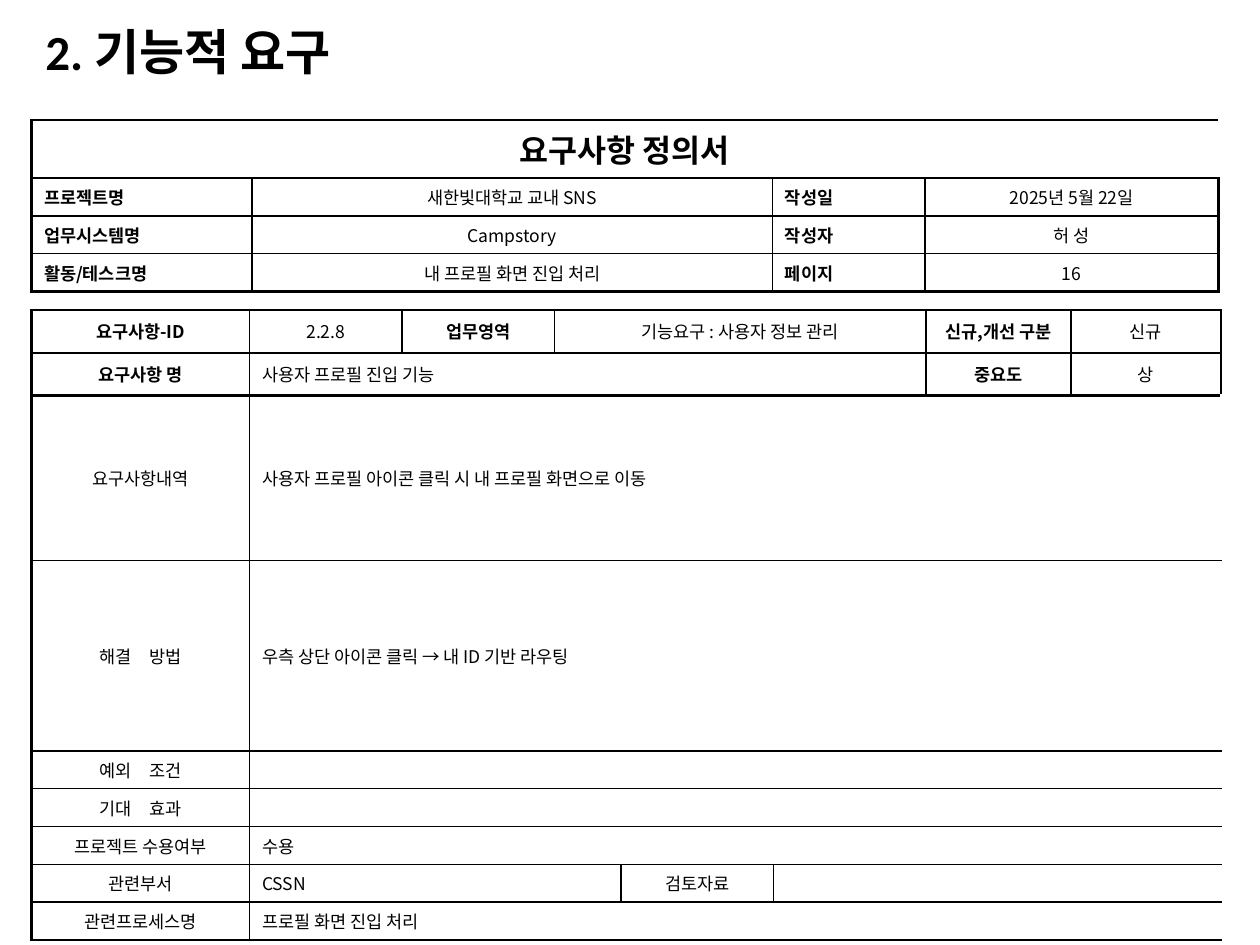
from lxml import etree
from pptx import Presentation
from pptx.dml.color import RGBColor
from pptx.enum.text import MSO_ANCHOR, PP_ALIGN
from pptx.oxml.ns import qn
from pptx.util import Inches, Pt

CENTER, LEFT, JUSTIFY = PP_ALIGN.CENTER, PP_ALIGN.LEFT, PP_ALIGN.JUSTIFY
MIDDLE, TOP = MSO_ANCHOR.MIDDLE, MSO_ANCHOR.TOP
KOREAN_FONT = "Noto Sans CJK KR"
BLACK = "000000"
THIN, THICK = 1, 1.5

HEADING = {"size": 18, "bold": True}
LABEL = {"bold": True}
VALUE = {}
ENTRY = {"align": LEFT}
DETAIL = {"align": LEFT, "font": "Calibri"}
FIELD = {"bold": True, "align": JUSTIFY, "anchor": TOP}
FIELD_VALUE = {"anchor": TOP}

# Each cell is (text, columns spanned, format).
DOCUMENT_ROWS = [[("요구사항 정의서", 4, HEADING)]] + [
    [(left, 1, FIELD), (value, 1, FIELD_VALUE), (right, 1, FIELD), (entry, 1, FIELD_VALUE)]
    for left, value, right, entry in [
        ("프로젝트명", "새한빛대학교 교내 SNS", "작성일", "2025년 5월 22일"),
        ("업무시스템명", "Campstory", "작성자", "허 성"),
        ("활동/테스크명", "내 프로필 화면 진입 처리", "페이지", "16"),
    ]
]
REQUIREMENT_ROWS = [
    [("요구사항-ID", 1, LABEL), ("2.2.8", 1, VALUE), ("업무영역", 1, LABEL),
     ("기능요구 : 사용자 정보 관리", 3, VALUE), ("신규,개선 구분", 1, LABEL), ("신규", 1, VALUE)],
    [("요구사항 명", 1, LABEL), ("사용자 프로필 진입 기능", 5, ENTRY),
     ("중요도", 1, LABEL), ("상", 1, VALUE)],
    [("요구사항내역", 1, VALUE), ("사용자 프로필 아이콘 클릭 시 내 프로필 화면으로 이동", 7, DETAIL)],
    [("해결　방법", 1, VALUE), ("우측 상단 아이콘 클릭 → 내 ID 기반 라우팅", 7, ENTRY)],
    [("예외　조건", 1, VALUE), ("", 7, ENTRY)],
    [("기대　효과", 1, VALUE), ("", 7, ENTRY)],
    [("프로젝트 수용여부", 1, VALUE), ("수용", 7, ENTRY)],
    [("관련부서", 1, VALUE), ("CSSN", 3, ENTRY), ("검토자료", 1, VALUE), ("", 3, ENTRY)],
    [("관련프로세스명", 1, VALUE), ("프로필 화면 진입 처리", 7, ENTRY)],
]


def color(value):
    return RGBColor.from_string(value)


def write_text(text_frame, text, size=10, bold=False, align=CENTER, font=KOREAN_FONT,
               space_before=0.2, line_spacing=None):
    """Fill the first paragraph; space_before is a share of the text size."""
    paragraph = text_frame.paragraphs[0]
    paragraph.alignment = align
    paragraph.space_before = Pt(size * space_before)
    if line_spacing:
        paragraph.line_spacing = line_spacing
    if not text:
        etree.SubElement(paragraph._p, qn("a:endParaRPr"), sz=str(size * 100))
        return
    run = paragraph.add_run()
    run.text = text
    run.font.size = Pt(size)
    run.font.bold = bold
    run.font.name = font
    run.font.color.rgb = color(BLACK)
    east_asian = etree.SubElement(run._r.get_or_add_rPr(), qn("a:ea"))
    east_asian.set("typeface", KOREAN_FONT)


def add_title(slide, text):
    title = slide.shapes.title
    title.left, title.top = Inches(0.26), Inches(0.21)
    title.width, title.height = Inches(5.36), Inches(0.44)
    title.text_frame.vertical_anchor = MIDDLE
    write_text(title.text_frame, text, size=28, bold=True, align=LEFT, font="Calibri",
               space_before=0, line_spacing=0.9)


def add_border(cell, side, width):
    line = etree.SubElement(cell._tc.get_or_add_tcPr(), qn(f"a:ln{side}"), w=str(Pt(width)))
    fill = etree.SubElement(line, qn("a:solidFill"))
    etree.SubElement(fill, qn("a:srgbClr"), val=BLACK)


def draw_grid(table, thick_rules):
    """Rule every cell; the outer edge and the listed horizontal rules are thick."""
    row_count, column_count = len(table.rows), len(table.columns)
    thick_rules = {0, row_count, *thick_rules}
    for row in range(row_count):
        for column in range(column_count):
            cell = table.cell(row, column)
            last = column == column_count - 1
            if not cell.is_spanned:
                add_border(cell, "L", THIN if column else THICK)
            if last or not table.cell(row, column + 1).is_spanned:
                add_border(cell, "R", THICK if last else THIN)
            add_border(cell, "T", THICK if row in thick_rules else THIN)
            add_border(cell, "B", THICK if row + 1 in thick_rules else THIN)
            cell.fill.background()


def write_cell(cell, text, anchor=MIDDLE, **text_format):
    cell.vertical_anchor = anchor
    write_text(cell.text_frame, text, **text_format)


def add_form(slide, top, widths, heights, rows, thick_rules=()):
    frame = slide.shapes.add_table(len(heights), len(widths), Inches(0.25), Inches(top),
                                   Inches(sum(widths)), Inches(sum(heights)))
    table = frame.table
    table.first_row = table.horz_banding = False
    for column, width in zip(table.columns, widths):
        column.width = Inches(width)
    for row, height in zip(table.rows, heights):
        row.height = Inches(height)
    for row_index, cells in enumerate(rows):
        column_index = 0
        for text, span, cell_format in cells:
            cell = table.cell(row_index, column_index)
            if span > 1:
                cell.merge(table.cell(row_index, column_index + span - 1))
            write_cell(cell, text, **cell_format)
            column_index += span
    draw_grid(table, thick_rules)


def main():
    presentation = Presentation()
    presentation.slide_width, presentation.slide_height = Inches(10), Inches(7.5)
    slide = presentation.slides.add_slide(presentation.slide_layouts[5])
    add_title(slide, "2. 기능적 요구")
    add_form(slide, 2.46, [1.73, 1.21, 1.21, 0.53, 1.21, 1.21, 1.15, 1.19],
             [0.34] * 2 + [1.31, 1.51] + [0.27] * 5, REQUIREMENT_ROWS, thick_rules=(1, 2))
    add_form(slide, 0.95, [1.75, 4.13, 1.21, 2.33], [0.46] + [0.27] * 3, DOCUMENT_ROWS)
    presentation.save("out.pptx")


if __name__ == "__main__":
    main()
